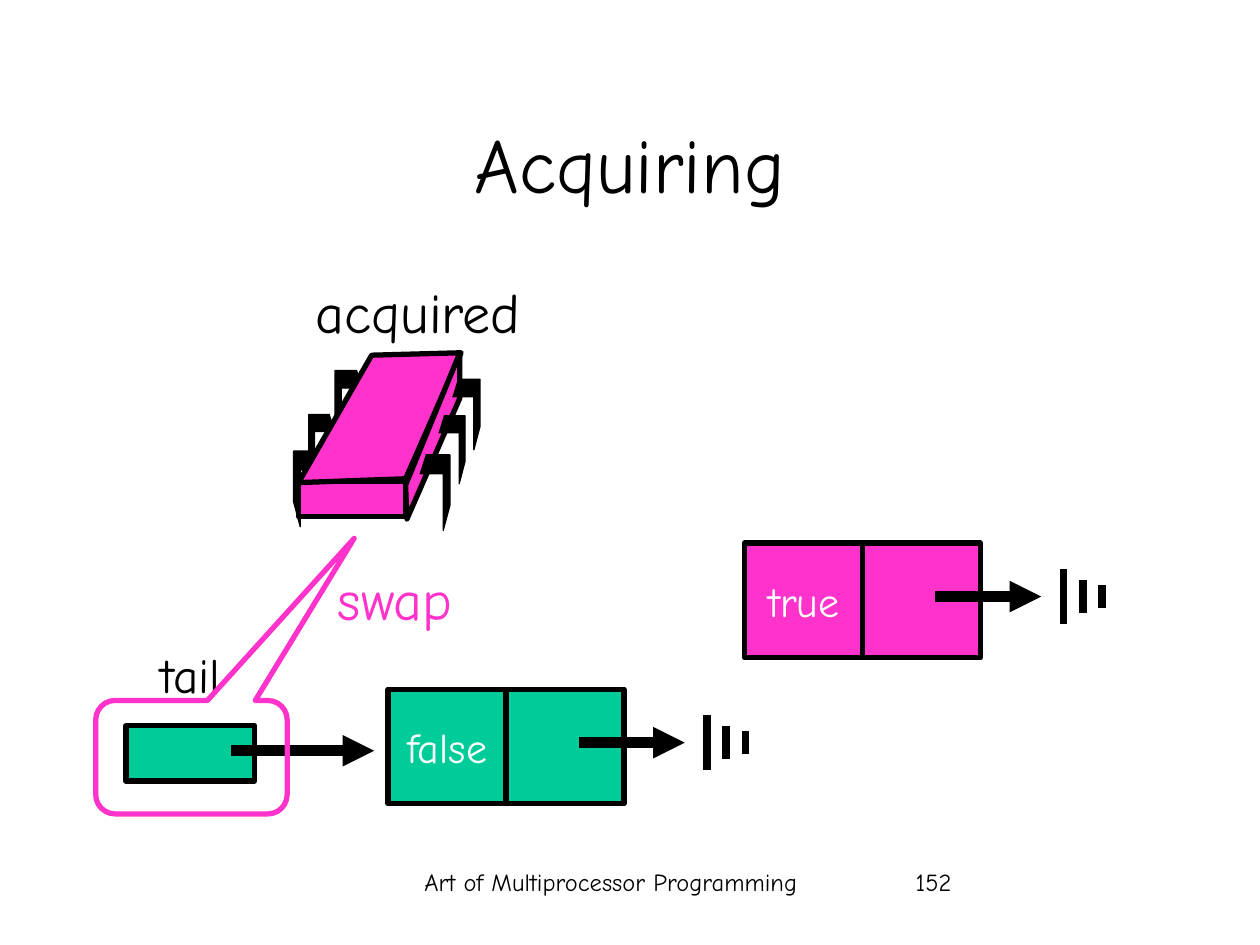
from dataclasses import dataclass

from lxml import etree
from pptx import Presentation
from pptx.dml.color import RGBColor
from pptx.enum import shapes as es, text as et
from pptx.oxml.ns import qn
from pptx.util import Pt

BLACK = RGBColor(0x00, 0x00, 0x00)
WHITE = RGBColor(0xFF, 0xFF, 0xFF)
GREEN = RGBColor(0x00, 0xCC, 0x99)
PINK = RGBColor(0xFF, 0x33, 0xCC)
FONT = "Comic Neue"
CENTER, LEFT, RIGHT = et.PP_ALIGN.CENTER, et.PP_ALIGN.LEFT, et.PP_ALIGN.RIGHT

CELL_W, CELL_H = 67.4, 65.5
LINK_X, LINK_Y, LINK_LENGTH = 109, 30.6, 60.5
GROUND_X, GROUND_STEP = 182.2, 11
GROUND_HALF_HEIGHTS = (15.8, 9.4, 6.5)

# Leg outline as fractions of its box, for a leg on the left of the chip
LEG_OUTLINE = ((0.8, 0), (0, 0), (0, 0.67), (0.22, 1), (0.22, 0.25), (1, 0.25))


@dataclass
class Box:
    left: float
    top: float
    width: float
    height: float

    def lengths(self):
        return [Pt(v) for v in (self.left, self.top, self.width, self.height)]


@dataclass
class Label:
    words: str
    box: Box
    size: float
    color: RGBColor = BLACK
    align: et.PP_ALIGN = CENTER
    wrap: bool = True
    margins: tuple = (7.2, 7.2)


@dataclass
class QueueNode:
    state: str
    left: float
    top: float
    color: RGBColor


LEFT_LEGS = (
    Box(167.8, 257.8, 17.3, 43.2),
    Box(176.4, 236.9, 15.1, 38.9),
    Box(191.5, 211.7, 15.8, 40.3),
)
RIGHT_LEGS = (
    Box(239.8, 259.9, 17.3, 43.2),
    Box(250.6, 237.6, 15.1, 38.9),
    Box(258.5, 216.7, 15.8, 40.3),
)
CHIP_TOP = ((170.6, 275.8), (231.8, 273.6), (263.5, 201.6), (212.4, 203))
CHIP_SIDE = ((262.8, 201.6), (262.8, 227.5), (232.6, 296.6), (231.8, 277.2))

NODES = (
    QueueNode("false", 221.8, 393.8, GREEN),
    QueueNode("true", 425.5, 310.3, PINK),
)
LABELS = (
    Label("Art of Multiprocessor Programming", Box(208, 491.8, 282.2, 36), 14),
    Label("152", Box(516.2, 491.8, 149.8, 36), 14, align=LEFT),
    Label("tail", Box(85.7, 365, 74.2, 41), 28, align=RIGHT, wrap=False,
          margins=(0, 34)),
    Label("acquired", Box(168.5, 154.8, 141.1, 45.4), 32, wrap=False),
)
SWAP = Label("swap", Box(139.7, 319, 172.1, 45.4), 32, PINK)


def write(frame, words: str, size: float, color: RGBColor, align=CENTER) -> None:
    paragraph = frame.paragraphs[0]
    paragraph.alignment = align
    run = paragraph.add_run()
    run.text = words
    for name, value in {"name": FONT, "size": Pt(size)}.items():
        setattr(run.font, name, value)
    run.font.color.rgb = color


def add_label(slide, label: Label) -> None:
    frame = slide.shapes.add_textbox(*label.box.lengths()).text_frame
    left, right = label.margins
    settings = {"word_wrap": label.wrap, "margin_left": Pt(left),
                "margin_right": Pt(right)}
    for name, value in settings.items():
        setattr(frame, name, value)
    write(frame, label.words, label.size, label.color, label.align)


def style(shape, fill, line: RGBColor = BLACK, weight: float = 3) -> None:
    shape.shadow.inherit = False
    if fill is None:
        shape.fill.background()
    else:
        shape.fill.solid()
        shape.fill.fore_color.rgb = fill
    shape.line.color.rgb = line
    shape.line.width = Pt(weight)


def add_rect(slide, box: Box, fill: RGBColor):
    rect = slide.shapes.add_shape(es.MSO_SHAPE.RECTANGLE, *box.lengths())
    style(rect, fill)
    return rect


def add_line(slide, start: tuple, end: tuple, weight: float, arrow: bool = False) -> None:
    line = slide.shapes.add_connector(
        es.MSO_CONNECTOR.STRAIGHT, *(Pt(v) for v in (*start, *end)))
    line.line.color.rgb = BLACK
    line.line.width = Pt(weight)
    properties = line._element.spPr
    if arrow:
        etree.SubElement(properties.find(qn("a:ln")), qn("a:tailEnd"), type="triangle")
    etree.SubElement(properties, qn("a:effectLst"))


def add_outline(slide, points, fill: RGBColor, weight: float, close: bool) -> None:
    start, *rest = [(Pt(x), Pt(y)) for x, y in points]
    builder = slide.shapes.build_freeform(*start)
    builder.add_line_segments(rest, close=close)
    style(builder.convert_to_shape(), fill, weight=weight)


def add_leg(slide, box: Box, mirrored: bool) -> None:
    points = [(box.left + box.width * (1 - x if mirrored else x),
               box.top + box.height * y) for x, y in LEG_OUTLINE]
    add_outline(slide, points, BLACK, 0.75, close=False)


def add_node(slide, node: QueueNode) -> None:
    """Draw the state cell, the link cell and its arrow to a ground sign."""
    state, _ = [
        add_rect(slide, Box(node.left + i * CELL_W, node.top, CELL_W, CELL_H), node.color)
        for i in range(2)]
    state.text_frame.word_wrap = False
    state.text_frame.vertical_anchor = et.MSO_ANCHOR.MIDDLE
    write(state.text_frame, node.state, 24, WHITE)
    x, y = node.left + LINK_X, node.top + LINK_Y
    add_line(slide, (x, y), (x + LINK_LENGTH, y), 6, arrow=True)
    for i, half in enumerate(GROUND_HALF_HEIGHTS):
        bar = node.left + GROUND_X + i * GROUND_STEP
        add_line(slide, (bar, y - half), (bar, y + half), 4.5)


def add_chip(slide) -> None:
    add_rect(slide, Box(170.6, 275, 61.2, 20.2), PINK)
    for leg in LEFT_LEGS:
        add_leg(slide, leg, mirrored=False)
    for face in (CHIP_TOP, CHIP_SIDE):
        add_outline(slide, face, PINK, 3, close=True)
    for leg in RIGHT_LEGS:
        add_leg(slide, leg, mirrored=True)


def add_title(slide, words: str) -> None:
    title = slide.shapes.title
    for name, value in zip(("left", "top", "width", "height"),
                           Box(54, 48.2, 612, 90).lengths()):
        setattr(title, name, value)
    title.text_frame.auto_size = et.MSO_AUTO_SIZE.NONE
    title.text_frame.vertical_anchor = et.MSO_ANCHOR.MIDDLE
    write(title.text_frame, words, 44, BLACK)


def main() -> None:
    deck = Presentation()
    deck.slide_width, deck.slide_height = Pt(720), Pt(540)
    slide = deck.slides.add_slide(deck.slide_layouts[5])

    add_title(slide, "Acquiring")
    add_rect(slide, Box(72, 414.7, 73.4, 31.7), GREEN)
    add_line(slide, (131.8, 429), (213.8, 429), 6, arrow=True)
    for node in NODES:
        add_node(slide, node)
    add_chip(slide)
    for label in LABELS:
        add_label(slide, label)

    callout = slide.shapes.add_shape(
        es.MSO_SHAPE.ROUNDED_RECTANGULAR_CALLOUT, *Box(54.7, 400.3, 109.4, 64.8).lengths())
    for i, value in enumerate((0.85, -1.93, 0.17)):
        callout.adjustments[i] = value
    style(callout, None, PINK)
    add_label(slide, SWAP)

    deck.save("out.pptx")


if __name__ == "__main__":
    main()
